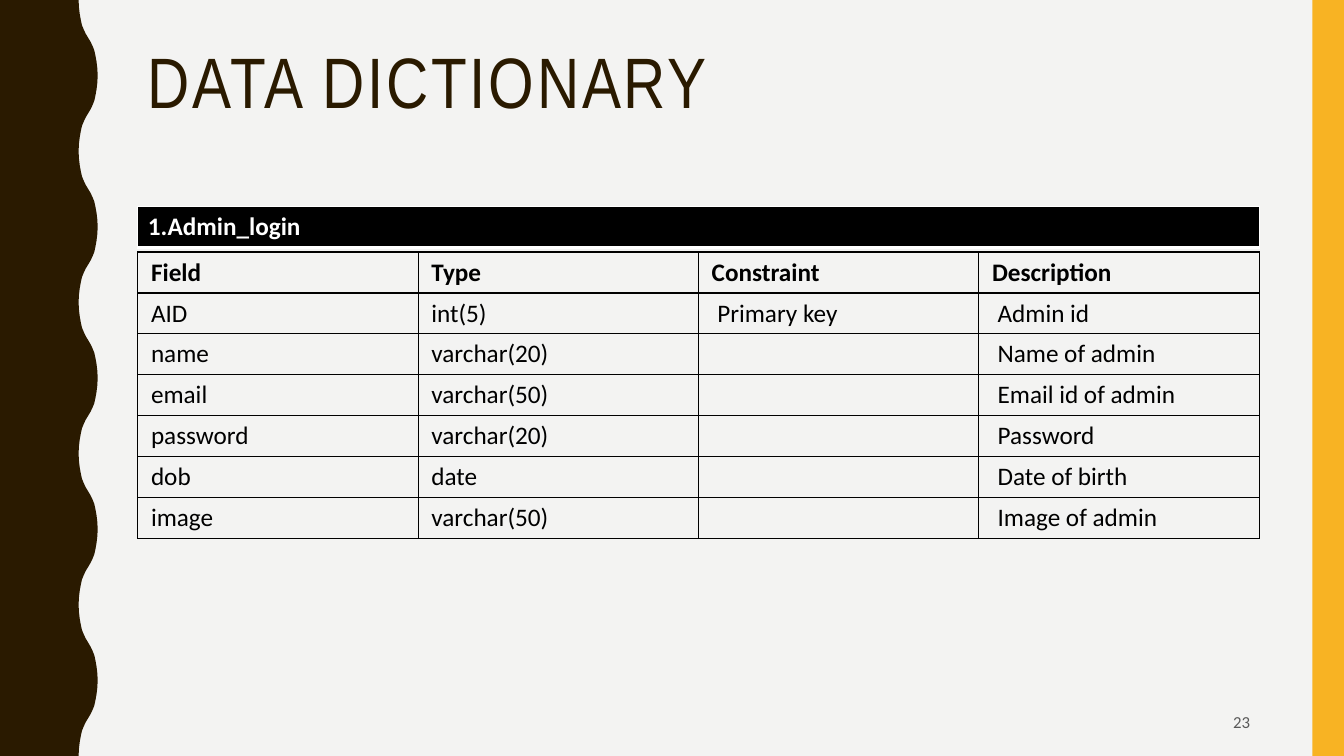
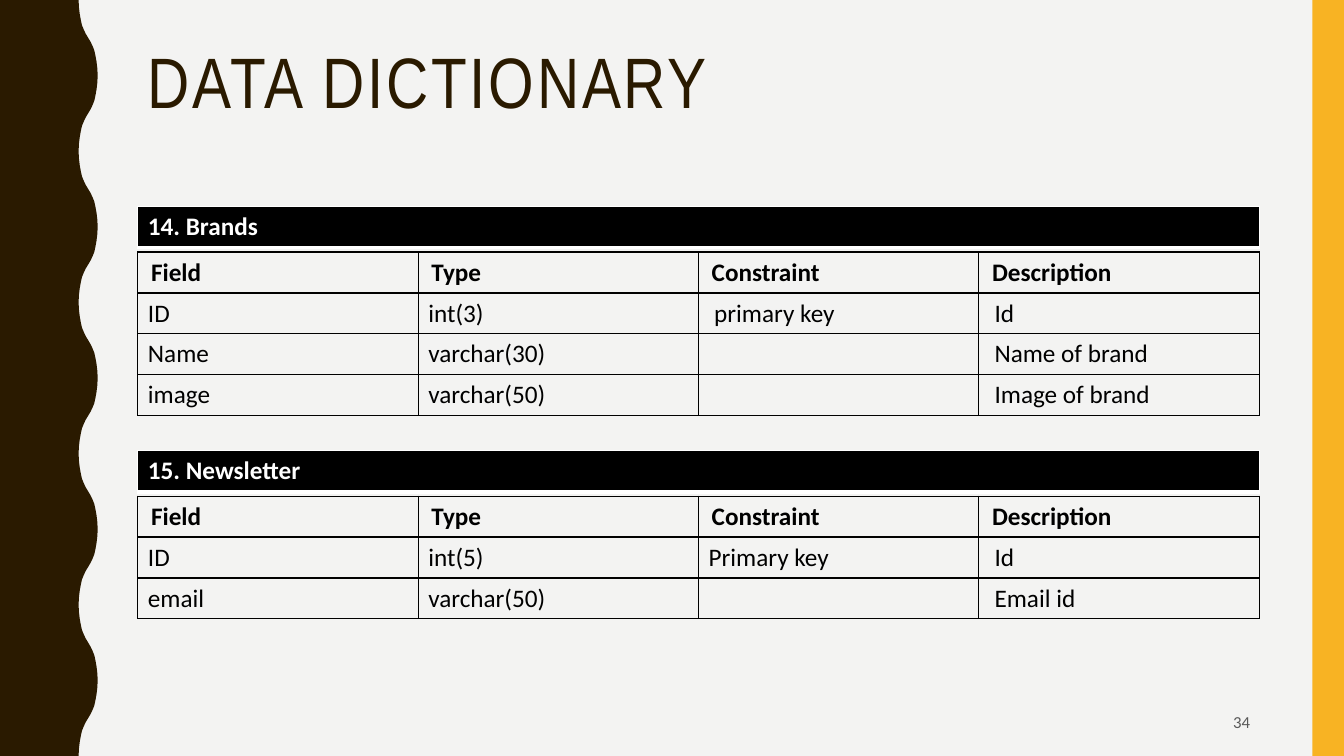
from lxml.etree import SubElement
from pptx import Presentation
from pptx.dml.color import RGBColor
from pptx.enum.shapes import MSO_SHAPE
from pptx.enum.text import MSO_ANCHOR, PP_ALIGN
from pptx.oxml.ns import qn
from pptx.util import Pt

HUES = {
    "paper": "F3F3F2", "brown": "2A1A00", "gold": "F8B323",
    "black": "000000", "white": "FFFFFF", "gray": "595959",
}
RGB = {name: RGBColor.from_string(code) for name, code in HUES.items()}
LEFT, WIDE, ROW, DROP = 98.5, 801, 29.25, 32.4
HEAD = ("Field", "Type", "Constraint", "Description")
THIN = {"lnL": 1, "lnR": 1, "lnT": 1, "lnB": 1}
BAND = {**THIN, "lnB": 3}

PAGES = [
    ("23", 9.4, [
        (147.6, "1.Admin_login", (0, 0, 4, 4), [
            ("AID", "int(5)", "Primary key", "Admin id"),
            ("name", "varchar(20)", "", "Name of admin"),
            ("email", "varchar(50)", "", "Email id of admin"),
            ("password", "varchar(20)", "", "Password"),
            ("dob", "date", "", "Date of birth"),
            ("image", "varchar(50)", "", "Image of admin"),
        ]),
    ]),
    ("34", 7.2, [
        (147.6, "14. Brands", (0, 0, 4, 4), [
            ("ID", "int(3)", "primary key", "Id"),
            ("Name", "varchar(30)", "", "Name of brand"),
            ("image", "varchar(50)", "", "Image of brand"),
        ]),
        (322, "15. Newsletter", (0, 0, 0, 4), [
            ("ID", "int(5)", "Primary key", "Id"),
            ("email", "varchar(50)", "", "Email id"),
        ]),
    ]),
]


def write(frame, text, hue, font, **more):
    para = frame.paragraphs[0]
    run = para.add_run()
    run.text = text
    run.font.color.rgb = RGB[hue]
    for key, value in font.items():
        setattr(run.font, key, value)
    for key, value in more.items():
        setattr(para, key, value)
    return run


def grid(slide, top, rows, pads, hue, edge, widths, fill=None):
    table = slide.shapes.add_table(
        len(rows), len(rows[0]), Pt(LEFT), Pt(top), Pt(WIDE), Pt(ROW * len(rows))
    ).table
    table.first_row = table.horz_banding = False
    for col in table.columns:
        col.width = Pt(WIDE / len(rows[0]))
    for i, row in enumerate(rows):
        table.rows[i].height = Pt(ROW)
        for j, text in enumerate(row):
            cell = table.cell(i, j)
            cell.margin_left = Pt(pads[i][j])
            cell.vertical_anchor = MSO_ANCHOR.MIDDLE
            props = cell._tc.get_or_add_tcPr()
            for tag, width in widths.items():
                line = SubElement(props, qn("a:" + tag), w=str(Pt(width)))
                solid = SubElement(line, qn("a:solidFill"))
                SubElement(solid, qn("a:srgbClr"), val=HUES[edge])
            if fill:
                cell.fill.solid()
                cell.fill.fore_color.rgb = RGB[fill]
            else:
                cell.fill.background()
            font = {"name": "Calibri", "size": Pt(18), "bold": i == 0}
            if text:
                write(cell.text_frame, text, hue, font)


deck = Presentation()
deck.slide_width, deck.slide_height = Pt(960), Pt(540)
back = deck.slide_master.background.fill
back.solid()
back.fore_color.rgb = RGB["paper"]

bend = [(0, 56.2), (5, 56.4), (10, 57), (14.4, 57.8),
        (18, 58.6), (21, 59.8), (24, 61.2), (27, 63)]
half = bend + [(54 - y, 126 - x) for y, x in bend[-2::-1]]
wave = half + [(108 - y, x) for y, x in half[-2:0:-1]]
edge = [(Pt(x), Pt(y + 108 * n)) for n in range(5) for y, x in wave]
edge += [(Pt(56.2), Pt(540)), (0, Pt(540))]

for number, inset, tables in PAGES:
    slide = deck.slides.add_slide(deck.slide_layouts[6])
    path = slide.shapes.build_freeform(0, 0)
    path.add_line_segments(edge)
    side = path.convert_to_shape()
    bar = slide.shapes.add_shape(
        MSO_SHAPE.RECTANGLE, Pt(937.5), 0, Pt(22.5), Pt(540))
    for shape, hue in ((side, "brown"), (bar, "gold")):
        shape.shadow.inherit = False
        shape.fill.solid()
        shape.fill.fore_color.rgb = RGB[hue]
        shape.line.fill.background()

    title = slide.shapes.add_textbox(Pt(LEFT), Pt(30), Pt(WIDE), Pt(117)).text_frame
    title.word_wrap = True
    run = write(title, "DATA DICTIONARY", "brown",
                {"name": "Arial Narrow", "size": Pt(51)}, line_spacing=0.9)
    run._r.get_or_add_rPr().set("spc", "200")

    foot = slide.shapes.add_textbox(Pt(678), Pt(502), Pt(222), Pt(27)).text_frame
    foot.word_wrap = True
    foot.vertical_anchor = MSO_ANCHOR.MIDDLE
    write(foot, number, "gray", {"name": "Calibri", "size": Pt(12)},
          alignment=PP_ALIGN.RIGHT)

    for top, name, shift, rows in tables:
        pads = [[9.4] * 4] + [
            [inset + extra for extra in shift] for row in rows]
        grid(slide, top + DROP, [HEAD, *rows], pads, "black", "black", THIN)
        grid(slide, top, [(name,)], [[7.2]], "white", "white", BAND, "black")

deck.save("out.pptx")
